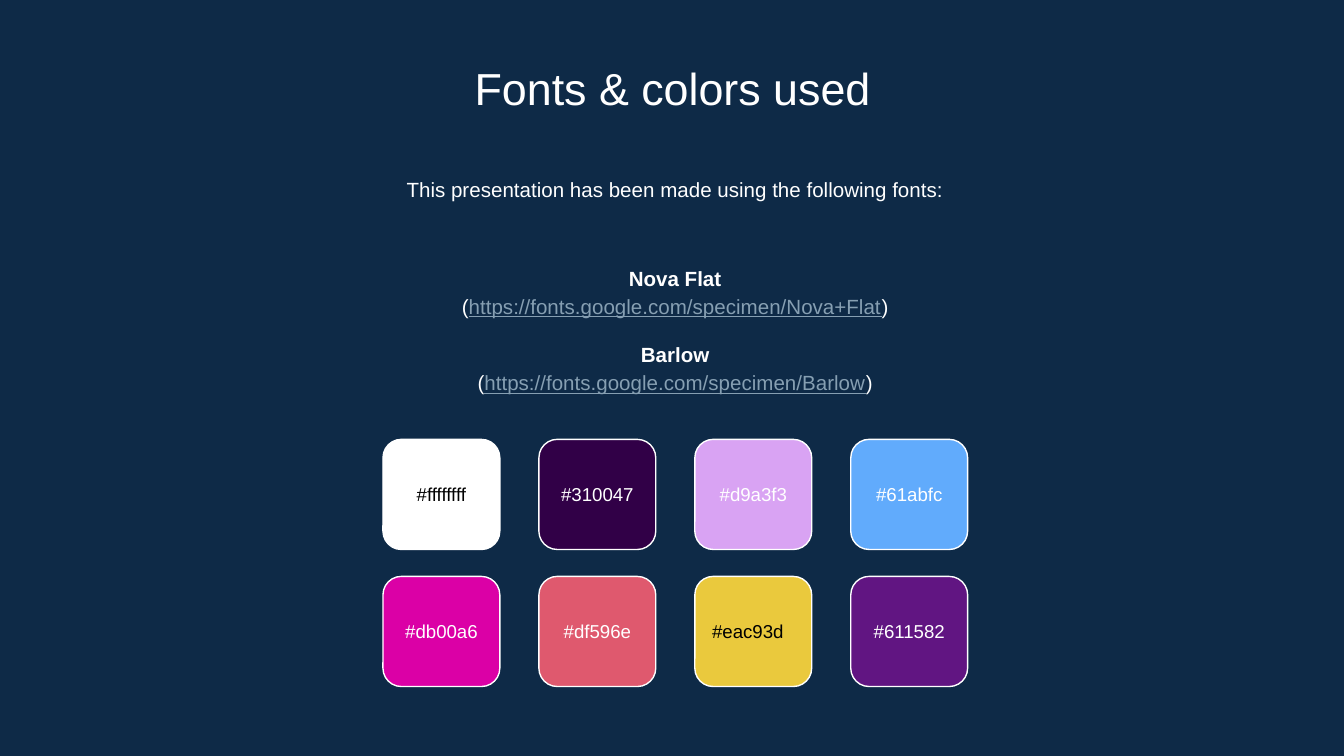
from pptx import Presentation
from pptx.dml.color import RGBColor
from pptx.enum.shapes import MSO_SHAPE
from pptx.enum.text import MSO_ANCHOR, PP_ALIGN
from pptx.util import Pt

NAVY = RGBColor(0x0E, 0x2A, 0x47)
WHITE = RGBColor(0xFF, 0xFF, 0xFF)
BLACK = RGBColor(0x00, 0x00, 0x00)
LINK = RGBColor(0x86, 0x9F, 0xB2)
FONT = "Arial"

FONTS = [
    ("Nova Flat", "https://fonts.google.com/specimen/Nova+Flat"),
    ("Barlow", "https://fonts.google.com/specimen/Barlow"),
]

# Label, fill, label colour, label shift in points
SWATCHES = [
    [
        ("#ffffffff", WHITE, BLACK, 0),
        ("#310047", RGBColor(0x31, 0x00, 0x47), WHITE, 0),
        ("#d9a3f3", RGBColor(0xD9, 0xA3, 0xF3), WHITE, 0),
        ("#61abfc", RGBColor(0x61, 0xAB, 0xFC), WHITE, 0),
    ],
    [
        ("#db00a6", RGBColor(0xDB, 0x00, 0xA6), WHITE, 0),
        ("#df596e", RGBColor(0xDF, 0x59, 0x6E), WHITE, 0),
        ("#eac93d", RGBColor(0xEA, 0xC9, 0x3D), BLACK, -2.9),
        ("#611582", RGBColor(0x61, 0x15, 0x82), WHITE, 0),
    ],
]


def add_text_frame(s, x, y, w, h, anchor=MSO_ANCHOR.TOP):
    tf = s.shapes.add_textbox(Pt(x), Pt(y), Pt(w), Pt(h)).text_frame
    tf.word_wrap = True
    tf.vertical_anchor = anchor
    tf.margin_left = tf.margin_right = tf.margin_top = tf.margin_bottom = Pt(7.2)
    return tf


def format_paragraph(p, spacing=1.0, before=0):
    p.alignment = PP_ALIGN.CENTER
    p.line_spacing = spacing
    p.space_before = Pt(before)


def add_run(p, text, size, color=WHITE, bold=False, underline=False):
    r = p.add_run()
    r.text = text
    r.font.name = FONT
    r.font.size = Pt(size)
    r.font.color.rgb = color
    r.font.bold = bold
    r.font.underline = underline


def add_line(s, x, y, w, h, text, size, color=WHITE, spacing=1.0, anchor=MSO_ANCHOR.TOP):
    p = add_text_frame(s, x, y, w, h, anchor).paragraphs[0]
    format_paragraph(p, spacing)
    add_run(p, text, size, color)


def add_font_list(s, x, y, w, h):
    tf = add_text_frame(s, x, y, w, h, MSO_ANCHOR.MIDDLE)
    for i, (name, url) in enumerate(FONTS):
        # Font name
        p = tf.add_paragraph() if i else tf.paragraphs[0]
        format_paragraph(p, 1.15, before=10.6 if i else 0)
        add_run(p, name, 11, bold=True)
        # Address in brackets
        p = tf.add_paragraph()
        format_paragraph(p, 1.15)
        add_run(p, "(", 11)
        add_run(p, url, 11, LINK, underline=True)
        add_run(p, ")", 11)


def add_swatch(s, x, y, w, h, label, fill, color, shift):
    sp = s.shapes.add_shape(MSO_SHAPE.ROUNDED_RECTANGLE, Pt(x), Pt(y), Pt(w), Pt(h))
    sp.shadow.inherit = False
    sp.fill.solid()
    sp.fill.fore_color.rgb = fill
    sp.line.color.rgb = WHITE
    sp.line.width = Pt(0.75)
    label_h = 34.6
    add_line(s, x + shift, y + (h - label_h) / 2, w, label_h, label, 10, color,
             anchor=MSO_ANCHOR.MIDDLE)


def add_palette(s, x, y, w, h):
    swatch_w, swatch_h = 62.6, 59
    step_x = (w - swatch_w) / (len(SWATCHES[0]) - 1)
    step_y = (h - swatch_h) / (len(SWATCHES) - 1)
    for i, row in enumerate(SWATCHES):
        for j, swatch in enumerate(row):
            add_swatch(s, x + j * step_x, y + i * step_y, swatch_w, swatch_h, *swatch)


def main():
    prs = Presentation()
    prs.slide_width, prs.slide_height = Pt(720), Pt(405)
    s = prs.slides.add_slide(prs.slide_layouts[6])
    s.background.fill.solid()
    s.background.fill.fore_color.rgb = NAVY

    # Title and introduction
    add_line(s, 82.8, 25.2, 555, 38.2, "Fonts & colors used", 24)
    add_line(s, 84.2, 85.7, 555, 34.6,
             "This presentation has been made using the following fonts:", 11, spacing=1.15)
    # Fonts and colours
    add_font_list(s, 84.2, 126.7, 555, 98.6)
    add_palette(s, 205.2, 235.4, 313.2, 132.4)

    prs.save("out.pptx")


if __name__ == "__main__":
    main()
